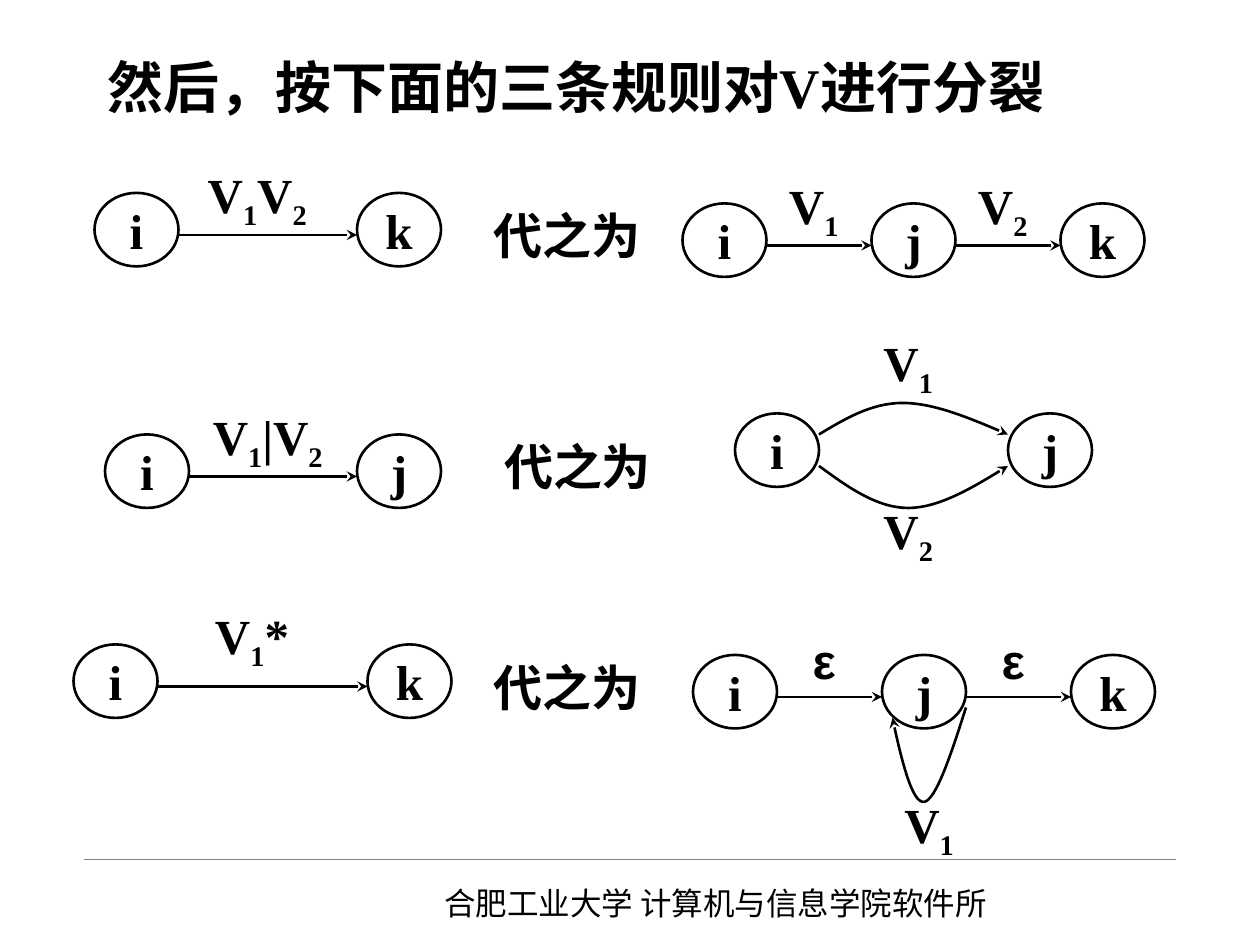
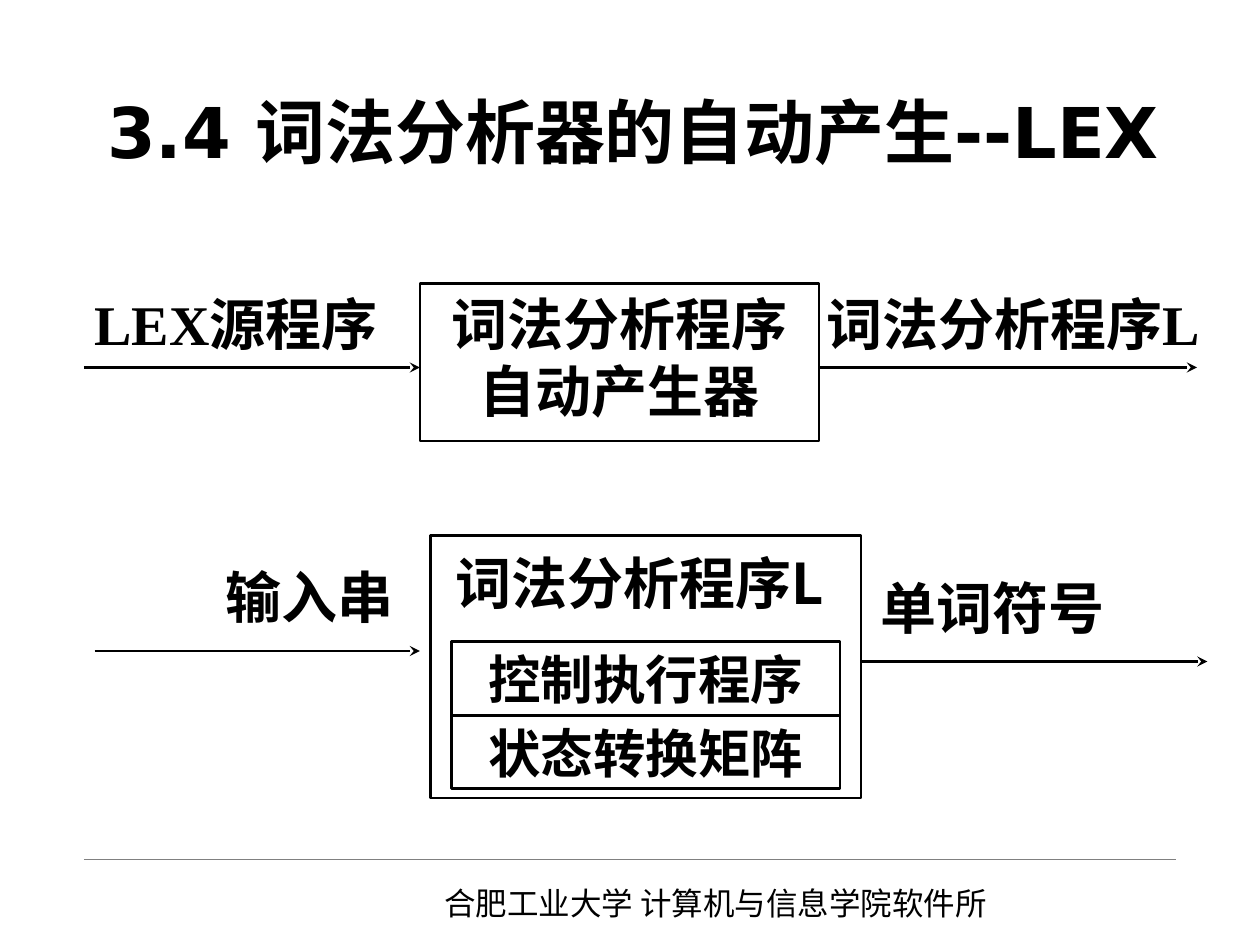
from dataclasses import dataclass

import lxml.etree
import pptx
import pptx.dml.color
import pptx.enum.shapes
import pptx.enum.text
import pptx.oxml.ns
import pptx.util

PX = 9525  # EMU per px, 96 px to the inch
ALIGN = pptx.enum.text.PP_ALIGN
ANCHOR = pptx.enum.text.MSO_ANCHOR
PRESET = pptx.enum.shapes.MSO_SHAPE


@dataclass(frozen=True)
class Theme:
    ink: str = "000000"
    footer_rule: str = "808080"
    serif: str = "Times New Roman"
    sans: str = "Noto Sans CJK SC"
    heading: str = "DejaVu Sans"
    greek: str = "Arial"
    footer_size: int = 18
    node_size: int = 28
    row_size: int = 30
    text_size: int = 32
    heading_size: int = 40
    rule_width: float = 0.25
    line_width: float = 1.5


THEME = Theme()


@dataclass(frozen=True)
class Box:
    x: int
    y: int
    w: int
    h: int

    def emu(self) -> tuple[int, ...]:
        return tuple(v * PX for v in (self.x, self.y, self.w, self.h))


@dataclass(frozen=True)
class Style:
    size: int
    font: str = THEME.serif
    bold: bool = True
    align: ALIGN = ALIGN.CENTER
    anchor: ANCHOR = ANCHOR.TOP
    wrap: bool = True
    spacing: float | None = None


@dataclass(frozen=True)
class Chain:
    """States in a row, joined by labelled arrows when labels are given."""
    states: str
    xs: tuple[int, ...]
    y: int
    labels: tuple[tuple[str, ...], ...] = ()
    label_shift: int = -8
    label_width: int = 88
    label_rise: int = 24
    label_font: str = THEME.serif


@dataclass(frozen=True)
class Arc:
    """Cubic Bezier pieces: a start, then three points per piece."""
    points: tuple[tuple[int, int], ...]
    label: tuple[str, ...]
    label_x: int
    label_y: int


@dataclass(frozen=True)
class Flow:
    """An arrow with the text above it."""
    text: str
    text_box: Box
    start: int
    end: int
    y: int
    font: str


NODE_W, NODE_H, ARROW_DROP = 64, 56, 32
NODE = Style(THEME.node_size, anchor=ANCHOR.MIDDLE, wrap=False)
V1, V2, EPSILON = ("V", "1"), ("V", "2"), ("ε",)

CHAINS = [
    Chain("ik", (72, 272), 147, (V1 + V2,), label_shift=16),
    Chain("ijk", (520, 664, 808), 155, (V1, V2)),
    Chain("ij", (80, 272), 331, (("V", "1", "|V", "2"),), label_shift=16),
    Chain("ij", (560, 768), 315),
    Chain("ik", (56, 280), 491, (("V", "1", "*"),), label_shift=16,
          label_width=112, label_rise=32),
    Chain("ijk", (528, 672, 816), 499, (EPSILON, EPSILON),
          label_font=THEME.greek),
]
ARCS = [
    Arc(((624, 331), (644, 319), (664, 307), (688, 307),
         (712, 307), (740, 319), (768, 331)), V1, 648, 251),
    Arc(((624, 355), (646, 371), (668, 387), (692, 387),
         (716, 387), (742, 371), (768, 355)), V2, 648, 379),
    Arc(((736, 539), (725, 574), (713, 610), (704, 611),
         (695, 612), (687, 580), (680, 547)), V1, 664, 603),
]
REPLACED_BY = [(376, 147), (384, 323), (376, 491)]
FLOWS = [
    Flow("LEX源程序", Box(48, 216, 264, 64), 64, 320, 280, THEME.serif),
    Flow("词法分析程序L", Box(608, 216, 328, 64), 624, 912, 280, THEME.serif),
    Flow("输入串", Box(104, 424, 264, 64), 72, 320, 496, THEME.sans),
    Flow("单词符号", Box(624, 432, 264, 64), 656, 920, 504, THEME.sans),
]


def rgb(colour: str) -> pptx.dml.color.RGBColor:
    return pptx.dml.color.RGBColor.from_string(colour)


def write(shape, parts: tuple[str, ...], style: Style) -> None:
    """Fill a shape with text; every second part is a subscript."""
    frame = shape.text_frame
    frame.auto_size = pptx.enum.text.MSO_AUTO_SIZE.NONE
    frame.word_wrap = style.wrap
    frame.vertical_anchor = style.anchor
    paragraph = frame.paragraphs[0]
    paragraph.alignment = style.align
    paragraph.line_spacing = style.spacing
    font = paragraph.font
    font.name, font.bold = style.font, style.bold
    font.size = pptx.util.Pt(style.size)
    font.color.rgb = rgb(THEME.ink)
    for index, part in enumerate(parts):
        run = paragraph.add_run()
        run.text = part
        if index % 2:
            run._r.get_or_add_rPr().set("baseline", "-25000")


def add_text(slide, box: Box, parts: tuple[str, ...], style: Style) -> None:
    write(slide.shapes.add_textbox(*box.emu()), parts, style)


def add_outline(slide, preset: PRESET, box: Box, text: str, style: Style):
    shape = slide.shapes.add_shape(preset, *box.emu())
    shape.shadow.inherit = False
    shape.fill.background()
    set_line(shape, THEME.ink, THEME.line_width)
    write(shape, (text,), style)
    return shape


def set_line(shape, colour: str, width: float) -> None:
    shape.line.color.rgb = rgb(colour)
    shape.line.width = pptx.util.Pt(width)


def add_arrowhead(shape) -> None:
    line = shape._element.spPr.find(pptx.oxml.ns.qn("a:ln"))
    lxml.etree.SubElement(line, pptx.oxml.ns.qn("a:tailEnd"), type="stealth")


def add_level_line(slide, start: int, end: int, y: int, colour: str, width: float):
    line = slide.shapes.add_connector(
        pptx.enum.shapes.MSO_CONNECTOR.STRAIGHT,
        start * PX, y * PX, end * PX, y * PX)
    set_line(line, colour, width)
    lxml.etree.SubElement(line._element.spPr, pptx.oxml.ns.qn("a:effectLst"))
    return line


def add_arrow(slide, start: int, end: int, y: int) -> None:
    add_arrowhead(add_level_line(slide, start, end, y, THEME.ink, THEME.line_width))


def add_title(slide, box: Box, text: str, style: Style) -> None:
    title = slide.shapes.title
    title.left, title.top, title.width, title.height = box.emu()
    write(title, (text,), style)


def add_chain(slide, chain: Chain) -> None:
    for state, x in zip(chain.states, chain.xs):
        add_outline(slide, PRESET.OVAL, Box(x, chain.y, NODE_W, NODE_H), state, NODE)
    label_style = Style(THEME.node_size, chain.label_font,
                        anchor=ANCHOR.MIDDLE, wrap=False)
    for label, x, following in zip(chain.labels, chain.xs, chain.xs[1:]):
        start = x + NODE_W
        add_arrow(slide, start, following, chain.y + ARROW_DROP)
        add_text(slide, Box(start + chain.label_shift, chain.y - chain.label_rise,
                            chain.label_width, NODE_H), label, label_style)


def bezier(a: int, b: int, c: int, d: int, t: float) -> float:
    u = 1 - t
    return u**3 * a + 3 * u * u * t * b + 3 * u * t * t * c + t**3 * d


def add_arc(slide, arc: Arc, steps: int = 16) -> None:
    trace = []
    for first in range(0, len(arc.points) - 1, 3):
        xs, ys = zip(*arc.points[first:first + 4])
        trace += [(bezier(*xs, i / steps) * PX, bezier(*ys, i / steps) * PX)
                  for i in range(1, steps + 1)]
    x, y = arc.points[0]
    builder = slide.shapes.build_freeform(x * PX, y * PX)
    builder.add_line_segments(trace, close=False)
    curve = builder.convert_to_shape()
    curve.shadow.inherit = False
    curve.fill.background()
    set_line(curve, THEME.ink, THEME.line_width)
    add_arrowhead(curve)
    add_text(slide, Box(arc.label_x, arc.label_y, 88, 56), arc.label, NODE)


def new_slide(deck):
    """A title-only slide with the shared footer."""
    slide = deck.slides.add_slide(deck.slide_layouts[5])
    add_level_line(slide, 64, 896, 655, THEME.footer_rule, THEME.rule_width)
    add_text(slide, Box(329, 669, 453, 38), ("合肥工业大学 计算机与信息学院软件所",),
             Style(THEME.footer_size, THEME.sans, bold=False, align=ALIGN.LEFT))
    return slide


def build_split_rules(deck) -> None:
    slide = new_slide(deck)
    add_title(slide, Box(72, 35, 816, 72), "然后，按下面的三条规则对V进行分裂",
              Style(THEME.text_size, align=ALIGN.JUSTIFY))
    for x, y in REPLACED_BY:
        add_text(slide, Box(x, y, 112, 64), ("代之为",), NODE)
    for chain in CHAINS:
        add_chain(slide, chain)
    for arc in ARCS:
        add_arc(slide, arc)


def build_lex(deck) -> None:
    slide = new_slide(deck)
    add_title(slide, Box(72, 56, 824, 80), "3.4 词法分析器的自动产生--LEX",
              Style(THEME.heading_size, THEME.heading, align=ALIGN.LEFT,
                    anchor=ANCHOR.BOTTOM))
    # Generator and the analyser it produces
    add_outline(slide, PRESET.RECTANGLE, Box(320, 216, 304, 120),
                "词法分析程序自动产生器", Style(THEME.text_size))
    analyser = add_outline(
        slide, PRESET.RECTANGLE, Box(328, 408, 328, 200), "词法分析程序L",
        Style(THEME.text_size, THEME.sans, align=ALIGN.JUSTIFY, spacing=1.1))
    analyser.text_frame.margin_left = 19 * PX
    # Parts of the analyser
    for row, part in enumerate(("控制执行程序", "状态转换矩阵")):
        add_outline(slide, PRESET.RECTANGLE, Box(344, 489 + 56 * row, 296, 56), part,
                    Style(THEME.row_size, THEME.sans, anchor=ANCHOR.MIDDLE, wrap=False))
    # Inputs and outputs
    for flow in FLOWS:
        add_text(slide, flow.text_box, (flow.text,), Style(THEME.text_size, flow.font))
        add_arrow(slide, flow.start, flow.end, flow.y)


def main() -> None:
    deck = pptx.Presentation()
    deck.slide_width, deck.slide_height = 960 * PX, 720 * PX
    build_split_rules(deck)
    build_lex(deck)
    deck.save("out.pptx")


if __name__ == "__main__":
    main()
